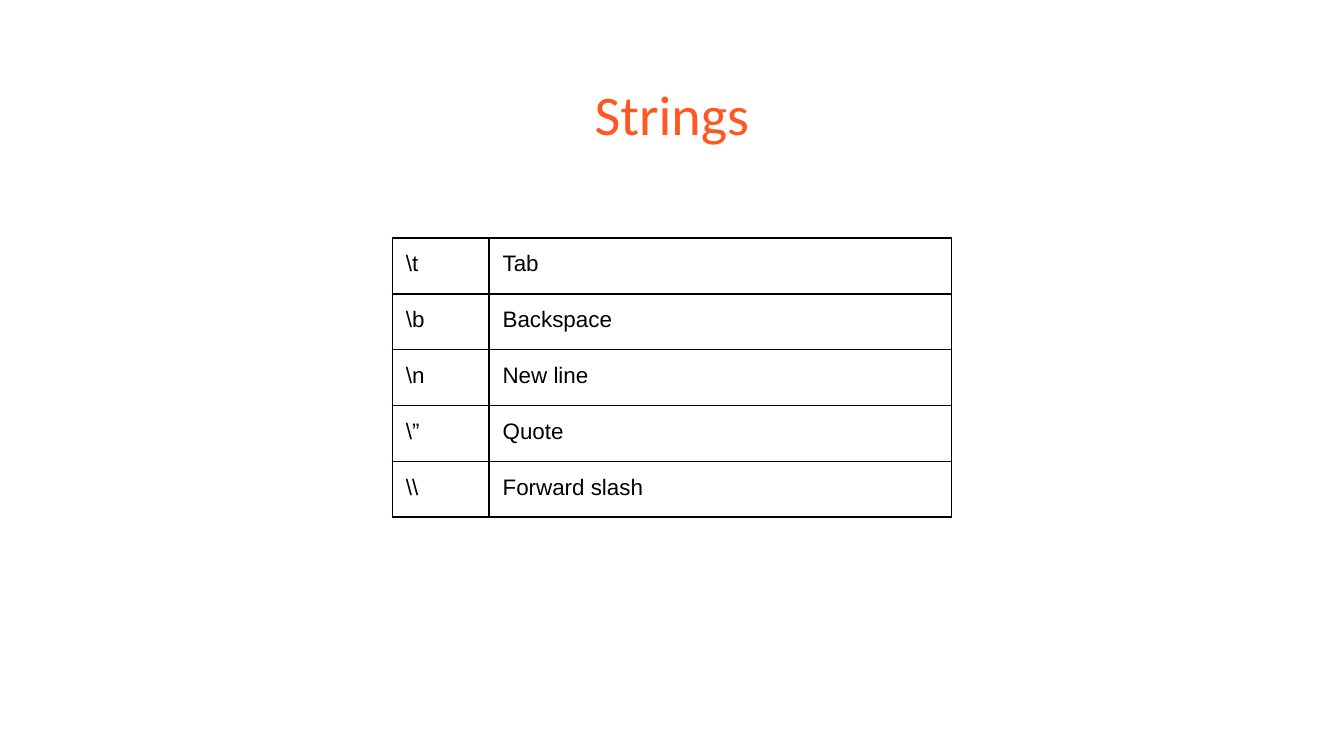
from lxml.etree import SubElement
from pptx import Presentation
from pptx.dml.color import RGBColor
from pptx.enum.text import MSO_ANCHOR, PP_ALIGN
from pptx.oxml.ns import qn
from pptx.util import Inches, Pt

COLORS = {"title": "FF5722", "text": "000000", "border": "000000"}
INSET = 0.1
ESCAPES = [
    (r"\t", "Tab"),
    (r"\b", "Backspace"),
    (r"\n", "New line"),
    (r"\”", "Quote"),
    (r"\\", "Forward slash"),
]


def write_text(tf, text, size=12, font="Arial", color="text", align=PP_ALIGN.LEFT):
    tf.word_wrap = True
    p = tf.paragraphs[0]
    p.alignment = align
    r = p.add_run()
    r.text = text
    r.font.size = Pt(size)
    r.font.name = font
    r.font.color.rgb = RGBColor.from_string(COLORS[color])


def set_insets(box):
    box.margin_left = box.margin_right = Inches(INSET)
    box.margin_top = box.margin_bottom = Inches(INSET)


def set_borders(cell, width=1):
    tc_pr = cell._tc.get_or_add_tcPr()
    for side in ("lnL", "lnR", "lnT", "lnB"):
        ln = SubElement(tc_pr, qn(f"a:{side}"), w=str(Pt(width)))
        fill = SubElement(ln, qn("a:solidFill"))
        SubElement(fill, qn("a:srgbClr"), val=COLORS["border"])


def add_title(s, text, left, top, width, height):
    sp = s.shapes.add_textbox(Inches(left), Inches(top), Inches(width), Inches(height))
    tf = sp.text_frame
    set_insets(tf)
    tf.vertical_anchor = MSO_ANCHOR.TOP
    write_text(tf, text, size=30, font="Calibri", color="title", align=PP_ALIGN.CENTER)


def add_escape_table(s, rows, left, top, width, height, code_width):
    frame = s.shapes.add_table(
        len(rows), 2, Inches(left), Inches(top), Inches(width), Inches(height)
    )
    table = frame.table
    table.first_row = table.horz_banding = False
    table.columns[0].width = Inches(code_width)
    table.columns[1].width = Inches(width - code_width)
    for i, row in enumerate(rows):
        table.rows[i].height = Inches(height / len(rows))
        for j, text in enumerate(row):
            cell = table.cell(i, j)
            set_insets(cell)
            cell.vertical_anchor = MSO_ANCHOR.TOP
            set_borders(cell)
            cell.fill.background()
            write_text(cell.text_frame, text)


def main():
    prs = Presentation()
    prs.slide_width = Inches(10)
    prs.slide_height = prs.slide_width * 9 // 16
    s = prs.slides.add_slide(prs.slide_layouts[6])
    add_title(s, "Strings", 0.34, 0.49, 9.32, 0.63)
    add_escape_table(s, ESCAPES, 2.92, 1.77, 4.16, 2.08, code_width=0.72)
    prs.save("out.pptx")


if __name__ == "__main__":
    main()
